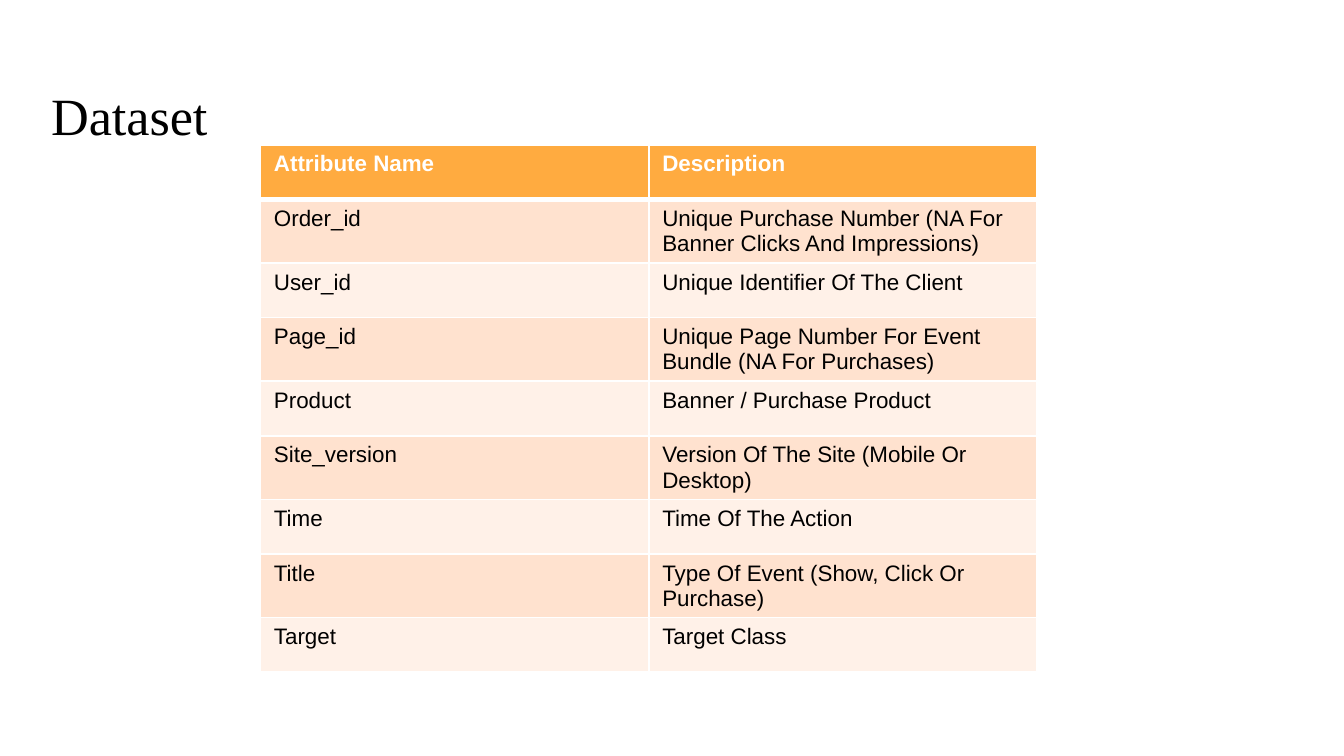
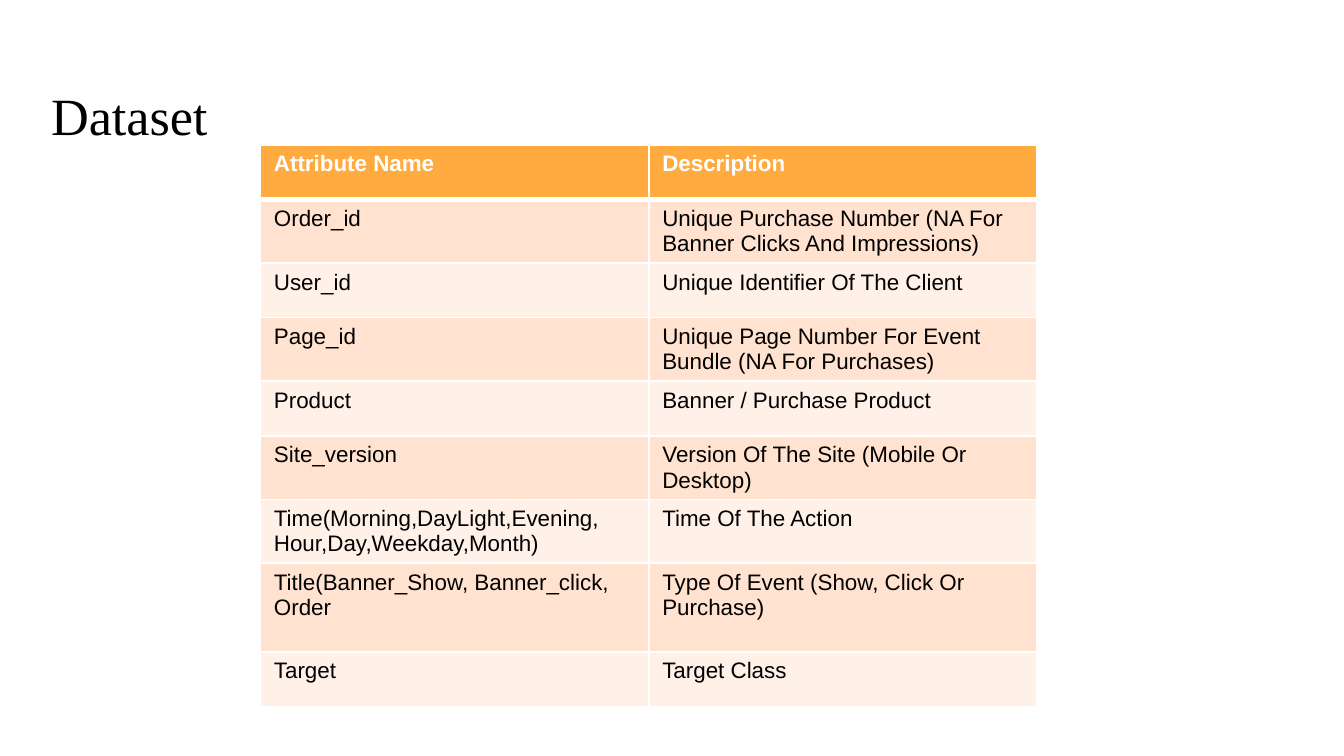
from dataclasses import dataclass

from lxml import etree
from pptx import Presentation
from pptx import util as u
from pptx.dml.color import RGBColor
from pptx.enum import text
from pptx.oxml import ns


@dataclass(frozen=True)
class Theme:
    paper: str = "FFFFFF"
    ink: str = "000000"
    head: str = "FFAB40"
    bands: tuple = ("FFE2CF", "FFF1E8")
    serif: str = "Times New Roman"
    sans: str = "Arial"
    large: int = 28
    small: int = 12
    thin: int = 1
    thick: int = 3


class Deck:
    """Places elements on a grid of 100 columns, with square cells."""

    COLS = 100

    def __init__(self, theme):
        self.theme = theme
        self.prs = Presentation()
        self.prs.slide_width = u.Inches(10)
        self.prs.slide_height = self.prs.slide_width * 9 // 16
        self.slide = None

    def grid(self, count):
        return round(self.prs.slide_width * count / self.COLS)

    def start(self):
        self.slide = self.prs.slides.add_slide(self.prs.slide_layouts[5])
        fill = self.slide.background.fill
        fill.solid()
        fill.fore_color.rgb = RGBColor.from_string(self.theme.paper)

    def run(self, para, words, size, face, color, bold=False):
        run = para.add_run()
        run.text = words
        font = run.font
        font.size, font.name, font.bold = u.Pt(size), face, bold
        font.color.rgb = RGBColor.from_string(color)

    def title(self, words):
        look, box = self.theme, self.slide.shapes.title
        box.left, box.top, box.width, box.height = map(
            self.grid, (2.8, 5.2, 93.2, 6.3))
        frame = box.text_frame
        frame.margin_left = frame.margin_right = self.grid(1)
        frame.margin_top = frame.margin_bottom = self.grid(1)
        frame.auto_size = text.MSO_AUTO_SIZE.NONE
        frame.vertical_anchor = text.MSO_ANCHOR.TOP
        para = frame.paragraphs[0]
        para.alignment = text.PP_ALIGN.LEFT
        self.run(para, words, look.large, look.serif, look.ink)

    def edges(self, cell, top, bottom):
        """Draw the four cell borders, which come before the fill."""
        thin = self.theme.thin
        sides = {"L": thin, "R": thin, "T": top, "B": bottom}
        props = cell._tc.get_or_add_tcPr()
        for spot, (side, width) in enumerate(sides.items()):
            line = etree.Element(ns.qn("a:ln" + side), w=str(u.Pt(width)))
            fill = etree.SubElement(line, ns.qn("a:solidFill"))
            etree.SubElement(fill, ns.qn("a:srgbClr"), val=self.theme.paper)
            props.insert(spot, line)

    def cell(self, cell, words, row):
        look = self.theme
        head = row == 0
        cell.fill.solid()
        shade = look.head if head else look.bands[(row - 1) % 2]
        cell.fill.fore_color.rgb = RGBColor.from_string(shade)
        self.run(cell.text_frame.paragraphs[0], words, look.small, look.sans,
                 look.paper if head else look.ink, head)
        self.edges(cell, look.thick if row == 1 else look.thin,
                   look.thick if head else look.thin)

    def table(self, rows, height, tall):
        """Fill a table; tall maps a row number to its own height."""
        frame = self.slide.shapes.add_table(
            len(rows), len(rows[0]),
            *map(self.grid, (19.38, 10.78, 57.8, height)))
        table = frame.table
        for at, words in enumerate(rows):
            table.rows[at].height = self.grid(tall.get(at, 4.06))
            for col, word in enumerate(words):
                self.cell(table.cell(at, col), word, at)
        frame.height = self.grid(height)


HEAD = ("Attribute Name", "Description")
FIELDS = {
    "Order_id": "Unique Purchase Number (NA For Banner Clicks And Impressions)",
    "User_id": "Unique Identifier Of The Client",
    "Page_id": "Unique Page Number For Event Bundle (NA For Purchases)",
    "Product": "Banner / Purchase Product",
    "Site_version": "Version Of The Site (Mobile Or Desktop)",
    "Time": "Time Of The Action",
    "Title": "Type Of Event (Show, Click Or Purchase)",
    "Target": "Target Class",
}
# Attribute names that gain their derived values on the second slide
DETAIL = {
    "Time": "Time(Morning,DayLight,Evening, Hour,Day,Weekday,Month)",
    "Title": "Title(Banner_Show, Banner_click, Order",
}


def main():
    deck = Deck(Theme())
    # Raw attributes, then the same attributes with derived values
    for names, height, tall in (({}, 40.3, {}), (DETAIL, 43.2, {7: 6.6})):
        deck.start()
        deck.title("Dataset")
        rows = [(names.get(name, name), note) for name, note in FIELDS.items()]
        deck.table([HEAD, *rows], height, tall)
    deck.prs.save("out.pptx")


if __name__ == "__main__":
    main()
